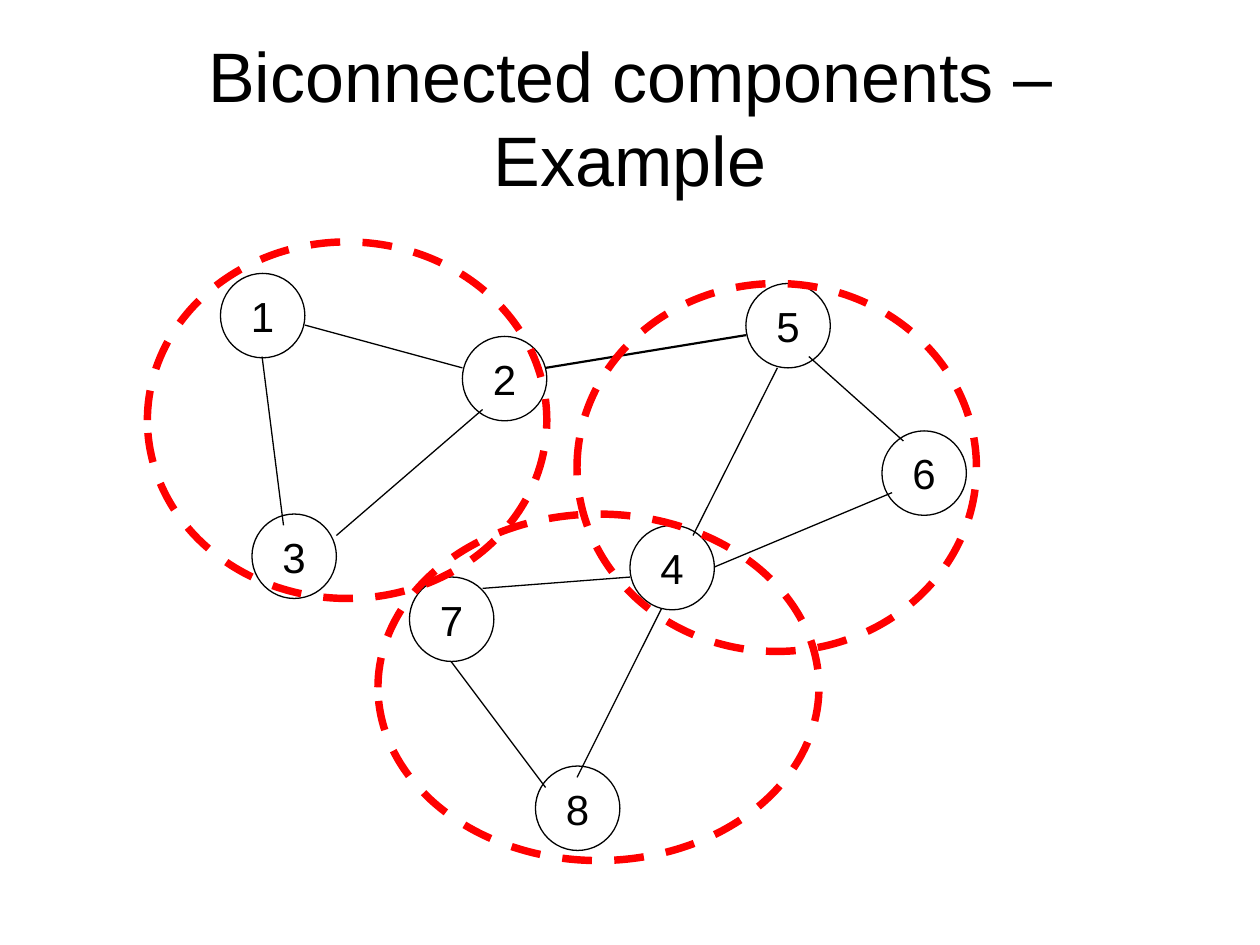
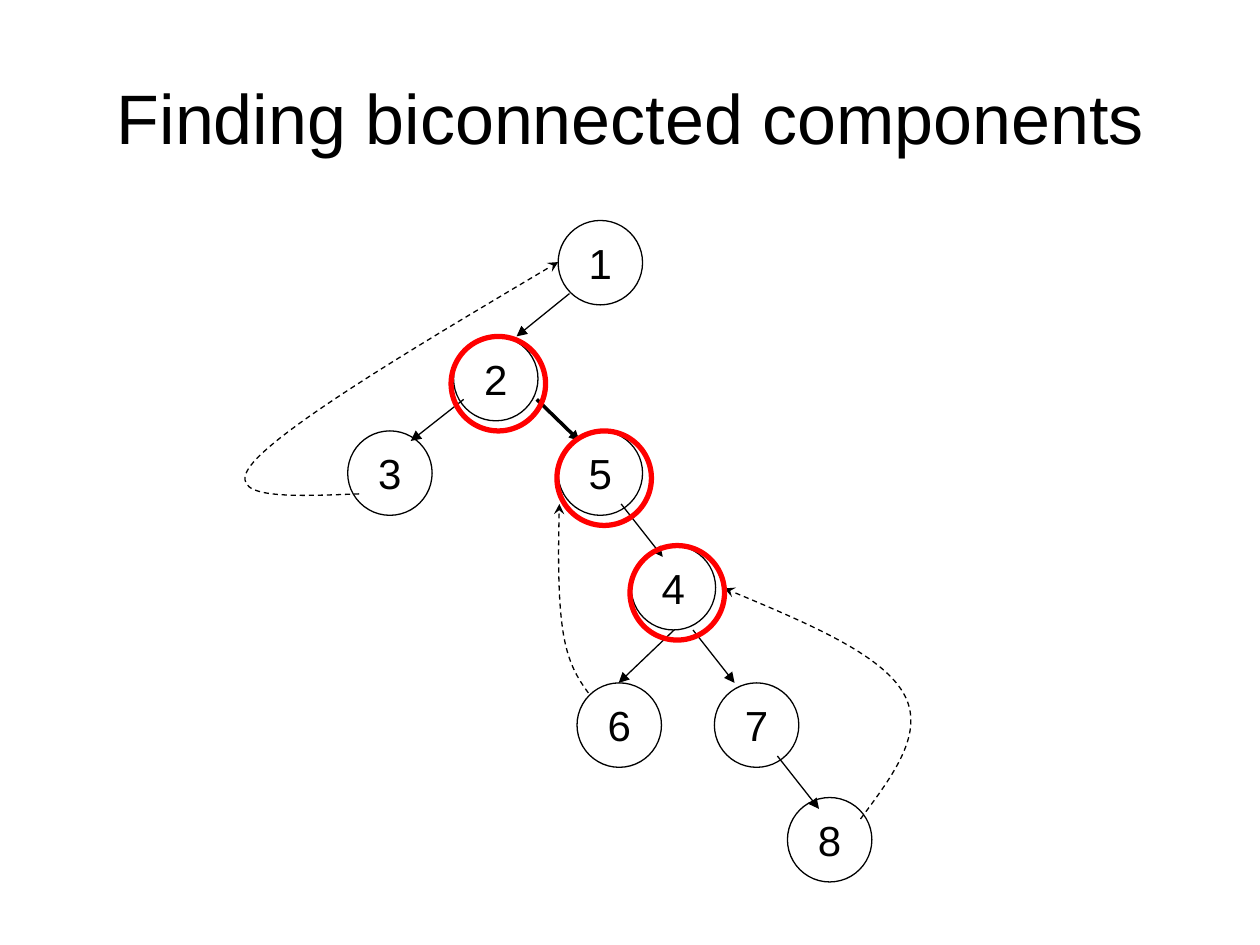
from lxml.etree import SubElement
from pptx import Presentation
from pptx.dml.color import RGBColor
from pptx.enum.dml import MSO_LINE
from pptx.enum.shapes import MSO_CONNECTOR, MSO_SHAPE
from pptx.enum.text import MSO_ANCHOR, PP_ALIGN
from pptx.oxml.ns import qn
from pptx.util import Inches, Pt

BLACK = RGBColor(0x00, 0x00, 0x00)
RED = RGBColor(0xFF, 0x00, 0x00)
FONT = "Arial"
NODE = 0.67
RING = 0.75
THIN = 0.75


def add_oval(slide, left, top, width, height, color, weight, label=""):
    oval = slide.shapes.add_shape(
        MSO_SHAPE.OVAL, Inches(left), Inches(top), Inches(width), Inches(height)
    )
    oval.shadow.inherit = False
    oval.fill.background()
    oval.line.color.rgb = color
    oval.line.width = Pt(weight)
    if label:
        frame = oval.text_frame
        frame.text = label
        frame.word_wrap = False
        frame.vertical_anchor = MSO_ANCHOR.MIDDLE
        frame.paragraphs[0].alignment = PP_ALIGN.CENTER
        font = frame.paragraphs[0].runs[0].font
        font.name, font.size, font.color.rgb = FONT, Pt(24), BLACK
    return oval


def style_edge(edge, weight=THIN, arrowhead=None):
    edge.line.color.rgb = BLACK
    edge.line.width = Pt(weight)
    properties = edge._element.spPr
    if arrowhead == "stealth":
        edge.line.dash_style = MSO_LINE.DASH
    if arrowhead:
        SubElement(properties.find(qn("a:ln")), qn("a:tailEnd"), type=arrowhead)
    SubElement(properties, qn("a:effectLst"))


presentation = Presentation()
presentation.slide_width = Inches(10)
presentation.slide_height = Inches(7.5)

slides = []
for heading in ("Biconnected components – Example", "Finding biconnected components"):
    slide = presentation.slides.add_slide(presentation.slide_layouts[6])
    title = slide.shapes.add_textbox(Inches(0.5), Inches(0.3), Inches(9), Inches(1.25))
    title.text_frame.text = heading
    title.text_frame.word_wrap = True
    title.text_frame.vertical_anchor = MSO_ANCHOR.MIDDLE
    title.text_frame.paragraphs[0].alignment = PP_ALIGN.CENTER
    title_font = title.text_frame.paragraphs[0].runs[0].font
    title_font.name, title_font.size, title_font.color.rgb = FONT, Pt(40), BLACK
    slides.append(slide)
example, search = slides

graph_nodes = {
    "1": (1.75, 2.17), "2": (3.67, 2.67), "3": (2, 4.08), "4": (5, 4.17),
    "5": (5.92, 2.25), "6": (7, 3.42), "7": (3.25, 4.58), "8": (4.25, 6.08),
}
tree_nodes = {
    "1": (4.43, 1.75), "2": (3.6, 2.67), "3": (2.76, 3.42), "4": (5.01, 4.33),
    "5": (4.43, 3.42), "6": (4.58, 5.42), "7": (5.67, 5.42), "8": (6.25, 6.33),
}
graph_edges = [
    (2.08, 2.83, 2.25, 4.17, THIN),
    (2.42, 2.58, 3.67, 2.92, THIN),
    (2.67, 4.25, 3.83, 3.25, THIN),
    (4.33, 2.92, 5.92, 2.66, 1.25),
    (6.42, 2.83, 7.17, 3.5, THIN),
    (6.17, 2.92, 5.5, 4.25, THIN),
    (5.67, 4.5, 7.08, 3.91, THIN),
    (3.58, 5.25, 4.33, 6.25, THIN),
    (3.83, 4.67, 5, 4.58, THIN),
    (5.25, 4.83, 4.58, 6.17, THIN),
]
tree_edges = [
    (4.52, 2.33, 4.1, 2.67, THIN),
    (3.68, 3.17, 3.26, 3.5, THIN),
    (4.26, 3.17, 4.6, 3.5, 2),
    (4.93, 4, 5.26, 4.42, THIN),
    (5.35, 5, 4.91, 5.42, THIN),
    (5.5, 5, 5.83, 5.42, THIN),
    (6.17, 6, 6.5, 6.42, THIN),
]
for slide, nodes, edges, arrowhead in (
    (example, graph_nodes, graph_edges, None),
    (search, tree_nodes, tree_edges, "triangle"),
):
    for label, (left, top) in nodes.items():
        add_oval(slide, left, top, NODE, NODE, BLACK, THIN, label)
    for *ends, weight in edges:
        edge = slide.shapes.add_connector(MSO_CONNECTOR.STRAIGHT, *map(Inches, ends))
        style_edge(edge, weight, arrowhead)

components = [(1.17, 1.92, 3.17, 2.83), (4.58, 2.25, 3.17, 2.92), (3, 4.08, 3.5, 2.75)]
for bounds in components:
    component = add_oval(example, *bounds, RED, 4.25)
    component.line.dash_style = MSO_LINE.DASH

back_edges = [
    [(2.85, 3.92), (2.3, 3.94), (1.75, 3.97), (2.01, 3.67),
     (2.28, 3.36), (3.35, 2.72), (4.43, 2.08)],
    [(4.67, 5.5), (4.59, 5.39), (4.51, 5.27), (4.47, 5.02),
     (4.43, 4.77), (4.43, 4.39), (4.44, 4)],
    [(6.83, 6.5), (7.09, 6.15), (7.35, 5.81), (7.17, 5.5),
     (6.99, 5.19), (6.37, 4.93), (5.75, 4.67)],
]
for points in back_edges:
    start, *controls = [(Inches(x), Inches(y)) for x, y in points]
    builder = search.shapes.build_freeform(*start)
    builder.add_line_segments(controls, close=False)
    back_edge = builder.convert_to_shape()
    back_edge.fill.background()
    style_edge(back_edge, arrowhead="stealth")
    segments = back_edge._element.xpath(".//a:lnTo")
    outline = segments[0].getparent()
    for first in range(0, len(segments), 3):
        curve = SubElement(outline, qn("a:cubicBezTo"))
        for segment in segments[first:first + 3]:
            curve.append(segment[0])
            outline.remove(segment)

articulation_rings = [(3.58, 2.67), (4.42, 3.42), (5, 4.33)]
for left, top in articulation_rings:
    add_oval(search, left, top, RING, RING, RED, 3)

presentation.save("out.pptx")
